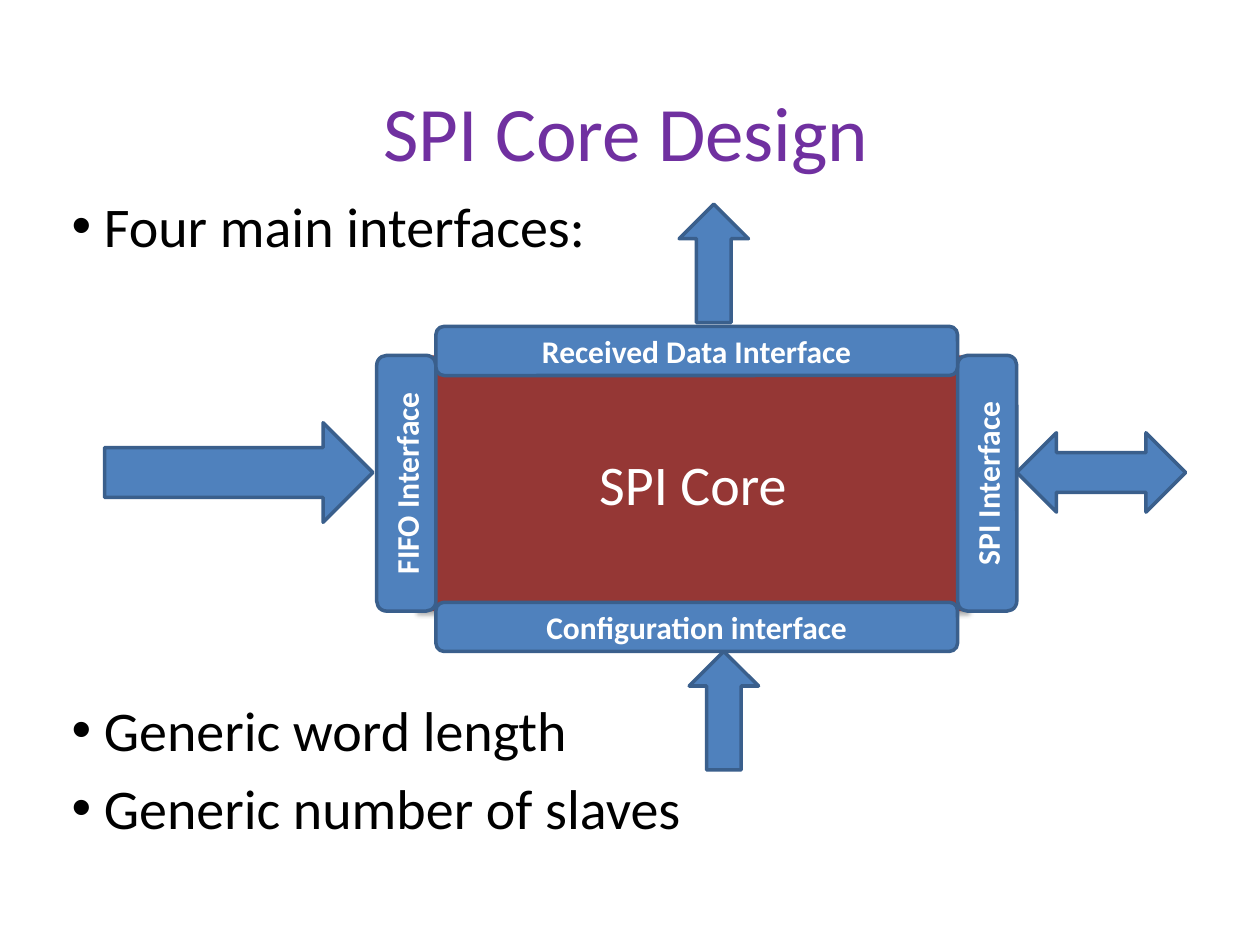
from lxml import etree
from pptx import Presentation
from pptx.dml.color import RGBColor
from pptx.enum.shapes import MSO_SHAPE
from pptx.enum.text import MSO_ANCHOR, PP_ALIGN
from pptx.oxml.ns import qn
from pptx.util import Inches, Pt

RECT, BAR = MSO_SHAPE.RECTANGLE, MSO_SHAPE.ROUNDED_RECTANGLE
RIGHT, BOTH_WAYS, UP = MSO_SHAPE.RIGHT_ARROW, MSO_SHAPE.LEFT_RIGHT_ARROW, MSO_SHAPE.UP_ARROW
LEFT_ALIGN, CENTER = PP_ALIGN.LEFT, PP_ALIGN.CENTER
TOP, MIDDLE = MSO_ANCHOR.TOP, MSO_ANCHOR.MIDDLE

COLUMNS, ROWS = 100, 75  # grid of the 10 x 7.5 inch slide


def rgb(hex_code):
    return RGBColor.from_string(hex_code)


def write(paragraph, text, size=32, color="000000", bold=False, align=LEFT_ALIGN):
    paragraph.alignment = align
    run = paragraph.add_run()
    run.text = text
    run.font.name = "Calibri"
    run.font.size = Pt(size)
    run.font.bold = bold
    run.font.color.rgb = rgb(color)


class Deck:
    BLUE, EDGE, RED, PURPLE, WHITE = "4F81BD", "3A5F8C", "953735", "7030A0", "FFFFFF"

    def __init__(self):
        self.prs = Presentation()
        self.prs.slide_width, self.prs.slide_height = Inches(10), Inches(7.5)
        self.slide = self.prs.slides.add_slide(self.prs.slide_layouts[6])

    def box(self, left, top, width, height):
        """Turn columns and rows into slide lengths."""
        column, row = self.prs.slide_width / COLUMNS, self.prs.slide_height / ROWS
        return [round(n) for n in (left * column, top * row, width * column, height * row)]

    def frame(self, *place, anchor=TOP):
        frame = self.slide.shapes.add_textbox(*self.box(*place)).text_frame
        frame.word_wrap = True
        frame.vertical_anchor = anchor
        return frame

    def title(self, text, *place):
        frame = self.frame(*place, anchor=MIDDLE)
        write(frame.paragraphs[0], text, size=44, color=self.PURPLE, align=CENTER)

    def bullets(self, lines, *place):
        frame = self.frame(*place)
        for i, line in enumerate(lines):
            paragraph = frame.add_paragraph() if i else frame.paragraphs[0]
            paragraph.space_before = Pt(6.4)
            write(paragraph, " " + line)
            properties = paragraph._p.get_or_add_pPr()
            etree.SubElement(properties, qn("a:buFont"), typeface="Arial")
            etree.SubElement(properties, qn("a:buChar"), char="•")

    def block(self, kind, center_x, center_y, width, height, fill=BLUE, edge=EDGE, rotation=0):
        """Draw a preset shape around its centre."""
        shape = self.slide.shapes.add_shape(kind, *self.box(
            center_x - width / 2, center_y - height / 2, width, height))
        shape.shadow.inherit = False
        shape.rotation = rotation
        shape.fill.solid()
        shape.fill.fore_color.rgb = rgb(fill)
        if edge:
            shape.line.color.rgb = rgb(edge)
            shape.line.width = Pt(2)
        else:
            shape.line.fill.background()
        return shape

    def label(self, shape, text, size=18, bold=True):
        frame = shape.text_frame
        frame.word_wrap = True
        frame.vertical_anchor = MIDDLE
        frame.margin_top = frame.margin_bottom = 0
        write(frame.paragraphs[0], text, size=size, color=self.WHITE, bold=bold, align=CENTER)

    def drop_shadow(self, shape):
        effects = shape._element.spPr.find(qn("a:effectLst"))
        shadow = etree.SubElement(effects, qn("a:outerShdw"), blurRad=str(Pt(3.1)),
                                  dist=str(Pt(1.8)), dir="5400000", rotWithShape="0")
        color = etree.SubElement(shadow, qn("a:srgbClr"), val="000000")
        etree.SubElement(color, qn("a:alpha"), val="35000")


def main():
    deck = Deck()

    # Heading and first bullet
    deck.title("SPI Core Design", 7.2, 2.3, 85, 16.1)
    deck.bullets(["Four main interfaces:"], 4.7, 14.7, 90.6, 24.2)

    # Core
    middle_x, middle_y = 55.3, 38.35
    core = deck.block(RECT, 55, middle_y, 43.8, 20.3, fill=deck.RED, edge=None)
    deck.drop_shadow(core)
    deck.label(core, "SPI Core", size=32, bold=False)

    # Interfaces on its four sides
    for text, side in (("SPI Interface", 1), ("FIFO Interface", -1)):
        bar = deck.block(BAR, middle_x + side * 23.05, middle_y, 20.3, 4.7, rotation=270)
        deck.label(bar, text)
    for text, side in (("Configuration interface", 1), ("Received Data Interface", -1)):
        bar = deck.block(BAR, middle_x, 38.8 + side * 10.95, 41.4, 3.9)
        deck.label(bar, text)

    # Closing bullets
    deck.bullets(["Generic word length", "Generic number of slaves"], 4.7, 54.7, 90.6, 16.4)

    # Data flow arrows
    deck.block(RIGHT, 18.95, 37.5, 21.3, 7.9)
    deck.block(BOTH_WAYS, 87.4, 37.5, 13.4, 6.3)
    for center_x, center_y in ((56.65, 20.9), (57.45, 56.4)):
        deck.block(UP, center_x, center_y, 5.5, 9.4)

    deck.prs.save("out.pptx")


if __name__ == "__main__":
    main()
